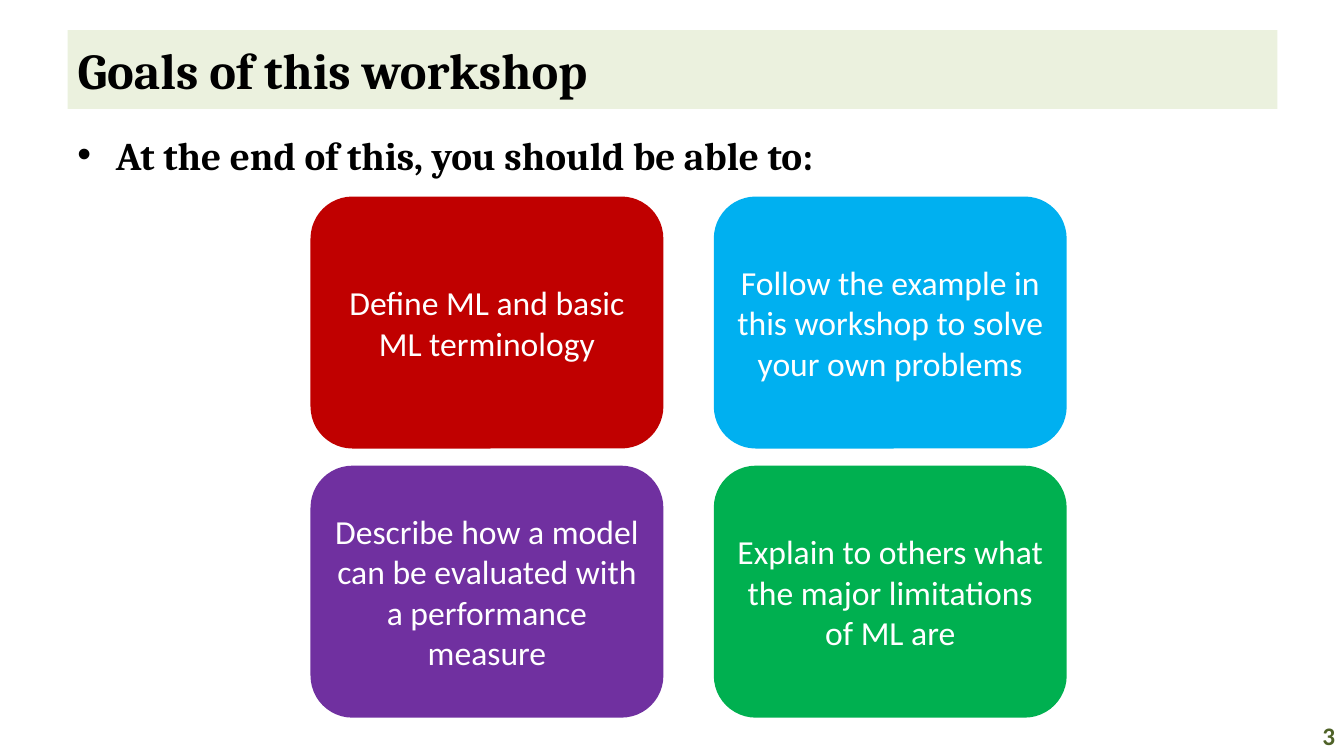
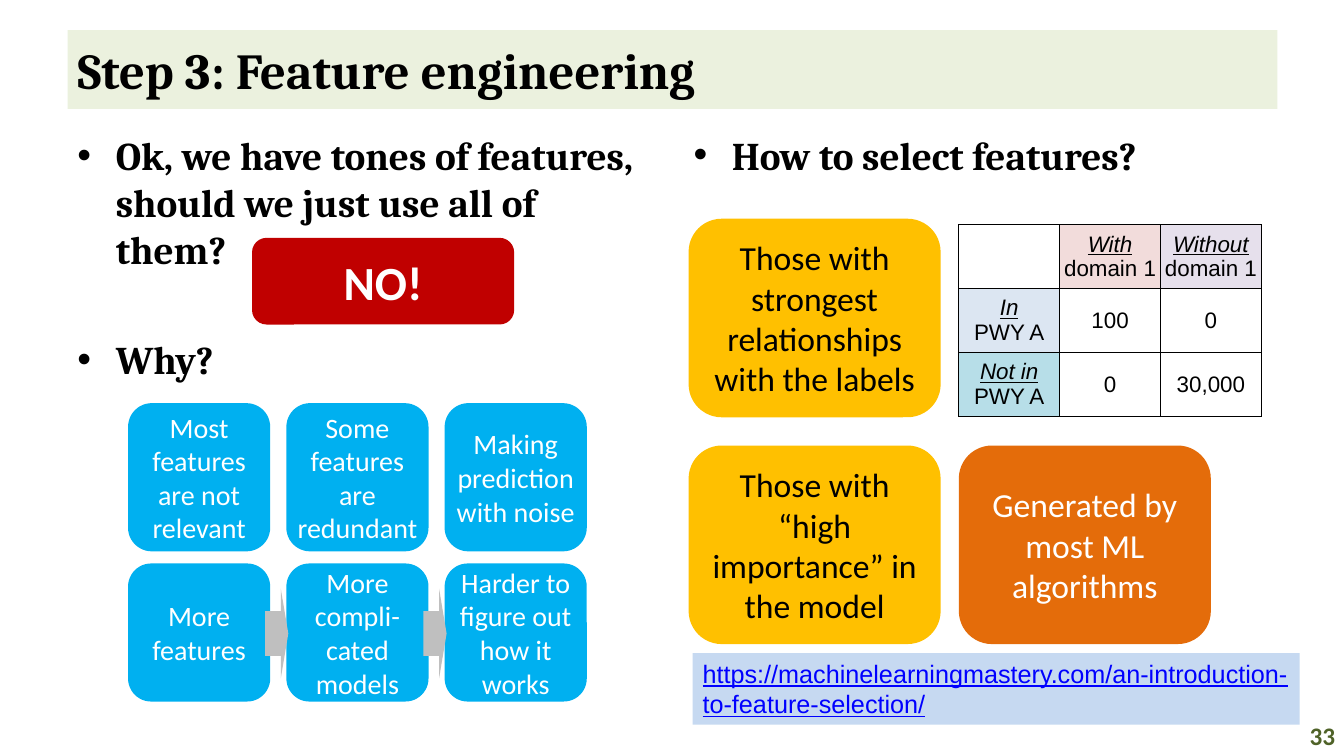
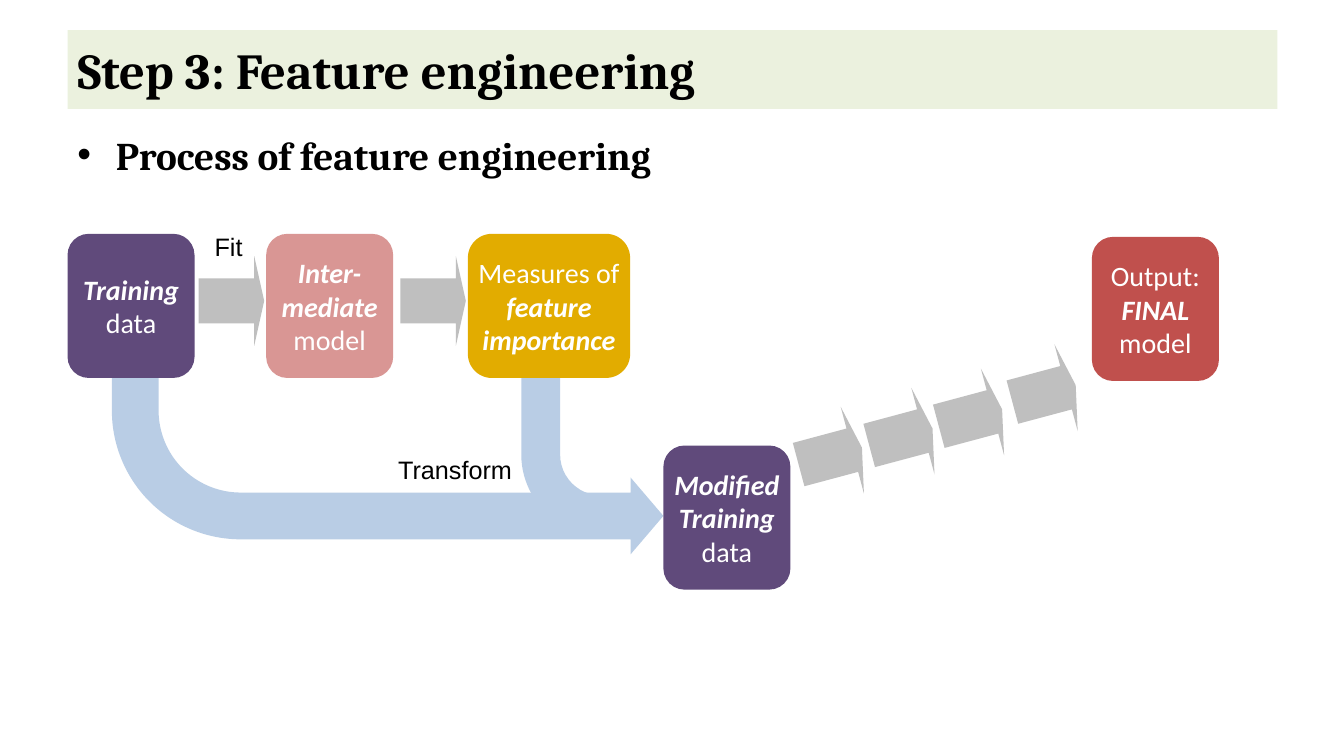
from lxml.etree import SubElement
from pptx import Presentation
from pptx.dml.color import RGBColor
from pptx.enum.shapes import MSO_SHAPE
from pptx.enum.text import MSO_ANCHOR, MSO_AUTO_SIZE, PP_ALIGN
from pptx.oxml.ns import qn
from pptx.util import Emu, Pt

COLORS = {
    "band": "EBF1DE", "black": "000000", "white": "FFFFFF", "page": "4F6228",
    "red": "C00000", "sky": "00B0F0", "purple": "7030A0", "green": "00B050",
    "gold": "FFC000", "orange": "E46C0A", "gray": "BFBFBF", "link": "0000FF",
    "pale": "C6D9F1", "plum": "604A7B", "pink": "D99694", "amber": "E2AC00",
    "brick": "C0504D", "flow": "B9CDE5", "with": "F2DCDB",
    "without": "E6E0EC", "in": "DCE6F2", "out": "B7DEE8",
}
HEAD, BODY, NOTE = "Cambria", "Calibri", "Arial"
SCALE = 9144  # EMU in one px, 100 px to the inch
WIDE, HIGH = 1333, 750
TITLE = (67, 30, 1200, 78)
PAGE = (1267, 710, 67, 40)
TOP = 125  # top of the bullet text
TIGHT = 0  # side inset of narrow boxes


def px(n):
    return Emu(round(n * SCALE))


def rgb(name):
    return RGBColor.from_string(COLORS[name])


def style(para, size, face, color="black", bold=False, italic=False,
          align=PP_ALIGN.LEFT):
    para.alignment = align
    font = para.font
    font.size, font.name = Pt(size), face
    font.bold, font.italic = bold, italic
    font.color.rgb = rgb(color)


def write(frame, lines, size, face, color="black", **kw):
    """Fill a frame; a line starting with * is bold italic."""
    for i, line in enumerate(lines):
        para = frame.paragraphs[0] if i == 0 else frame.add_paragraph()
        strong = line.startswith("*")
        para.text = line.lstrip("*")
        look = dict(kw, bold=True, italic=True) if strong else kw
        style(para, size, face, color, **look)


def shape(slide, kind, box, color, adj=()):
    item = slide.shapes.add_shape(kind, *map(px, box))
    item.shadow.inherit = False
    item.fill.solid()
    item.fill.fore_color.rgb = rgb(color)
    item.line.fill.background()
    for i, value in enumerate(adj):
        item.adjustments[i] = value
    return item


def card(slide, box, color, lines, size=24, ink="white", side=10,
         wrap=True, bold=False):
    """Rounded box with centred text."""
    item = shape(slide, MSO_SHAPE.ROUNDED_RECTANGLE, box, color)
    frame = item.text_frame
    frame.word_wrap = wrap
    frame.vertical_anchor = MSO_ANCHOR.MIDDLE
    frame.margin_left = frame.margin_right = px(side)
    write(frame, lines, size, BODY, ink, bold=bold, align=PP_ALIGN.CENTER)


def arrow(slide, x, y, w=65, head=0.152, turn=0):
    item = shape(slide, MSO_SHAPE.RIGHT_ARROW, (x, y, w, 89), "gray",
                 (0.5, head))
    item.rotation = turn


def bend(slide, box, adj):
    """Arrow that runs down, then right."""
    item = shape(slide, MSO_SHAPE.BENT_ARROW, box, "flow", adj)
    item._element.spPr.xfrm.set("flipV", "1")


def label(slide, box, text, size=18, face=NOTE, color="black", **kw):
    frame = slide.shapes.add_textbox(*map(px, box)).text_frame
    frame.word_wrap = True
    write(frame, [text], size, face, color, **kw)
    return frame


def bullets(slide, box, lines, gap=0):
    frame = slide.shapes.add_textbox(*map(px, box)).text_frame
    frame.word_wrap = True
    for i, line in enumerate(lines):
        para = frame.paragraphs[0] if i == 0 else frame.add_paragraph()
        para.text = line
        prop = para._p.get_or_add_pPr()
        prop.set("marL", str(px(38)))
        prop.set("indent", str(px(-38)))
        SubElement(prop, qn("a:buFont")).set("typeface", NOTE)
        SubElement(prop, qn("a:buChar")).set("char", "•")
        if i:
            para.space_before = Pt(gap)
        style(para, 28, HEAD, bold=True)


def start(deck, title, page=None):
    """New slide with title band and page number."""
    slide = deck.slides.add_slide(deck.slide_layouts[5])
    band = slide.shapes.title
    band.left, band.top, band.width, band.height = map(px, TITLE)
    band.fill.solid()
    band.fill.fore_color.rgb = rgb("band")
    frame = band.text_frame
    frame.auto_size = MSO_AUTO_SIZE.NONE
    frame.vertical_anchor = MSO_ANCHOR.MIDDLE
    write(frame, [title], 36, HEAD, bold=True)
    if page:
        foot = label(slide, PAGE, page, 18, BODY, "page", bold=True,
                     align=PP_ALIGN.RIGHT)
        foot.vertical_anchor = MSO_ANCHOR.MIDDLE
    return slide


def edge(cell):
    """Thin black line on all four sides."""
    prop = cell._tc.get_or_add_tcPr()
    for side in ("lnL", "lnR", "lnT", "lnB"):
        line = SubElement(prop, qn("a:" + side), w=str(Pt(1)))
        fill = SubElement(line, qn("a:solidFill"))
        SubElement(fill, qn("a:srgbClr")).set("val", COLORS["black"])


def counts(slide, x, y):
    """Table of domain against pathway; first of two lines is underlined."""
    rows = [
        [("", None), ("With\ndomain 1", "with"),
         ("Without\ndomain 1", "without")],
        [("In\nPWY A", "in"), ("100", None), ("0", None)],
        [("Not in\nPWY A", "out"), ("0", None), ("30,000", None)],
    ]
    highs = (59, 62, 62)
    grid = slide.shapes.add_table(3, 3, px(x), px(y), px(300),
                                  px(sum(highs))).table
    grid.first_row = grid.horz_banding = False
    for col in grid.columns:
        col.width = px(100)
    for r, (row, high) in enumerate(zip(rows, highs)):
        grid.rows[r].height = px(high)
        for c, (text, color) in enumerate(row):
            cell = grid.cell(r, c)
            edge(cell)
            cell.fill.solid()
            cell.fill.fore_color.rgb = rgb(color or "white")
            cell.margin_left = cell.margin_right = px(TIGHT)
            cell.vertical_anchor = MSO_ANCHOR.MIDDLE
            write(cell.text_frame, text.split("\n"), 16, NOTE,
                  align=PP_ALIGN.CENTER)
            if "\n" in text:
                font = cell.text_frame.paragraphs[0].font
                font.italic = font.underline = True


def goals(slide, x, y):
    """Two by two goal cards."""
    items = [
        ("red", "Define ML and basic ML terminology"),
        ("sky", "Follow the example in this workshop to solve your own "
                "problems"),
        ("purple", "Describe how a model can be evaluated with a "
                   "performance measure"),
        ("green", "Explain to others what the major limitations of ML are"),
    ]
    for i, (color, text) in enumerate(items):
        r, c = divmod(i, 2)
        card(slide, (x + 400 * c, y + 267 * r, 350, 250), color, [text])


def reasons(slide, x, y):
    """Two rows of reasons, the lower one a chain."""
    rows = [
        (0, 147, ["Most features are not relevant",
                  "Some features are redundant",
                  "Making prediction with noise"]),
        (159, 137, ["More features", "More compli-cated models",
                    "Harder to figure out how it works"]),
    ]
    for down, high, texts in rows:
        for c, text in enumerate(texts):
            card(slide, (x + 157 * c, y + down, 141, high), "sky", [text],
                 20, side=TIGHT)
    for c in range(2):
        arrow(slide, x + 136 + 157 * c, y + 184, 23, 0.325)


def picks(slide, x, y):
    """Ways to select features, with proof and source."""
    items = [
        (0, 0, "gold", "black",
         "Those with strongest relationships with the labels"),
        (0, 1, "gold", "black", "Those with “high importance” in the model"),
        (1, 1, "orange", "white", "Generated by most ML algorithms"),
    ]
    for c, r, color, ink, text in items:
        card(slide, (x + 268 * c, y + 225 * r, 250, 197), color, [text],
             ink=ink)
    counts(slide, x + 268, y + 6)
    link = shape(slide, MSO_SHAPE.RECTANGLE, (x + 4, y + 431, 602, 71),
                 "pale")
    frame = link.text_frame
    frame.word_wrap = True
    frame.vertical_anchor = MSO_ANCHOR.TOP
    write(frame, ["https://machinelearningmastery.com/"
                  "an-introduction-to-feature-selection/"], 18, NOTE, "link")
    frame.paragraphs[0].font.underline = True


def process(slide, x, y):
    """Flow from training data to the final model."""
    bend(slide, (x + 450, y + 143, 108, 155), (0.357, 0.179, 0.1, 0.73))
    bend(slide, (x + 44, y + 143, 547, 175), (0.265, 0.218, 0.186, 0.73))
    steps = [
        (0, 0, 126, "plum", ["*Training", "data"]),
        (197, 0, 126, "pink", ["*Inter-", "*mediate", "model"]),
        (397, 0, 161, "amber", ["Measures of", "*feature", "*importance"]),
        (591, 210, 126, "plum", ["*Modified", "*Training", "data"]),
        (1016, 3, 126, "brick", ["Output:", "*FINAL", "model"]),
    ]
    for dx, dy, w, color, lines in steps:
        card(slide, (x + dx, y + dy, w, 143), color, lines, 20, side=TIGHT,
             wrap=False)
    for dx in (130, 330):
        arrow(slide, x + dx, y + 22)
    for dx, dy in ((724, 176), (794, 157), (863, 138), (936, 114)):
        arrow(slide, x + dx, y + dy, turn=345)
    label(slide, (x + 136, y - 7, 55, 40), "Fit")
    label(slide, (x + 318, y + 214, 169, 40), "Transform")


def main():
    deck = Presentation()
    deck.slide_width, deck.slide_height = px(WIDE), px(HIGH)

    slide = start(deck, "Goals of this workshop", "3")
    bullets(slide, (67, TOP, 1200, 60),
            ["At the end of this, you should be able to:"])
    goals(slide, 308, 195)

    slide = start(deck, "Step 3: Feature engineering", "33")
    bullets(slide, (67, TOP, 589, 585),
            ["Ok, we have tones of features, should we just use all of "
             "them?", "Why?"], 45)
    bullets(slide, (678, TOP, 589, 60), ["How to select features?"])
    card(slide, (250, 236, 260, 86), "red", ["NO!"], 34, bold=True)
    reasons(slide, 127, 400)
    picks(slide, 683, 217)

    slide = start(deck, "Step 3: Feature engineering")
    bullets(slide, (67, TOP, 1200, 60), ["Process of feature engineering"])
    process(slide, 67, 232)

    deck.save("out.pptx")


if __name__ == "__main__":
    main()
